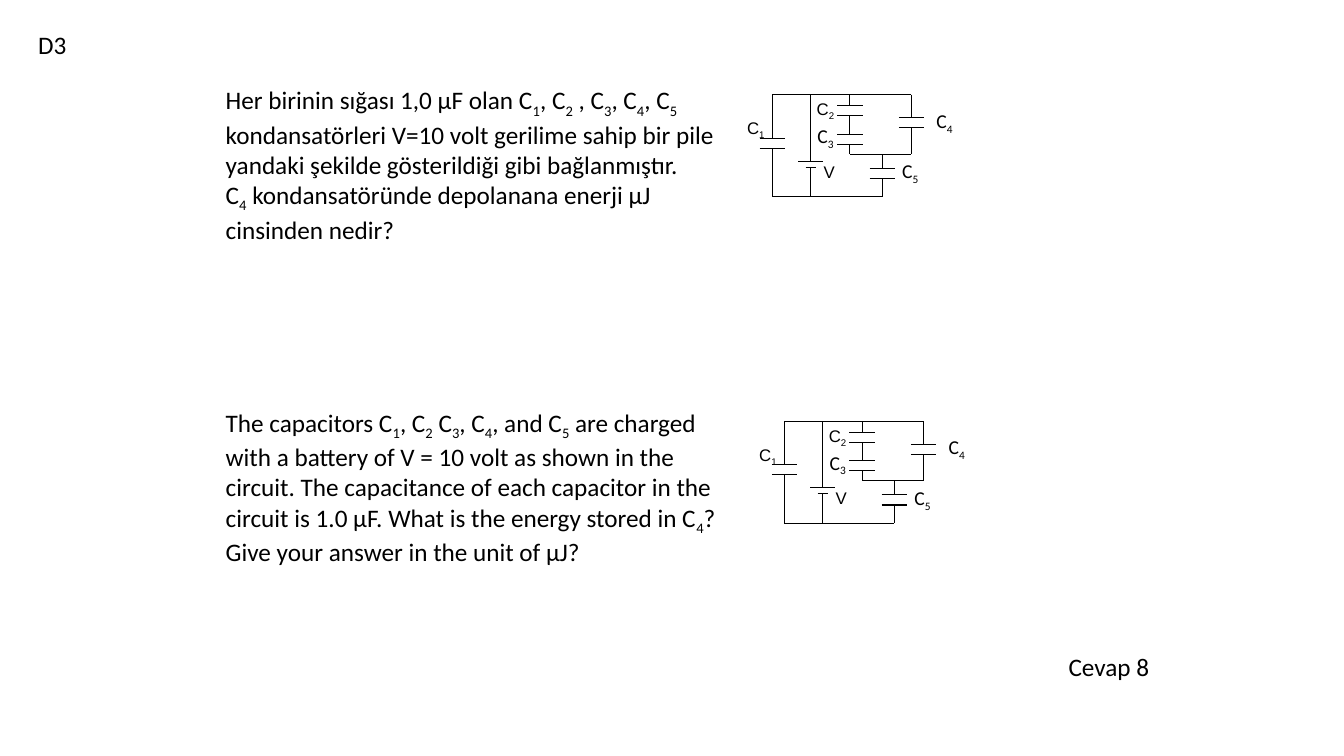
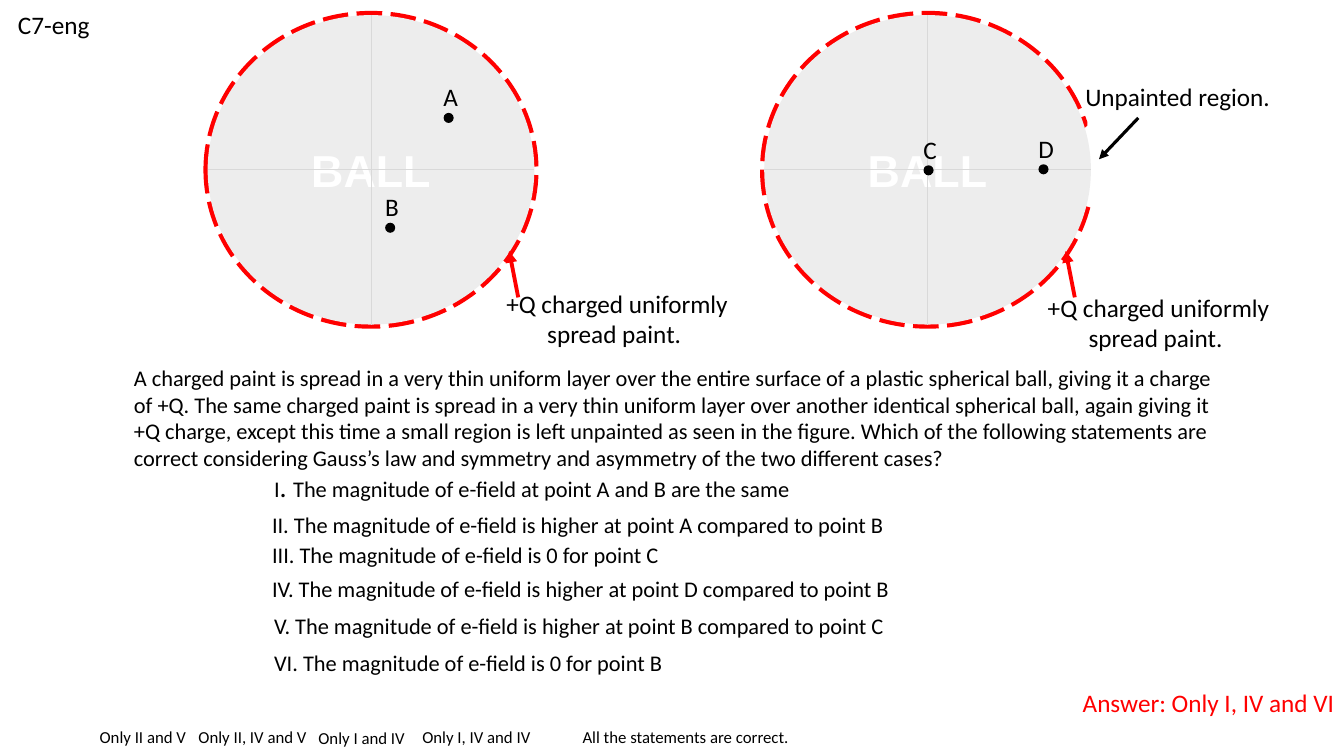
"""Build two physics question slides: a capacitor circuit and two charged balls."""
import pptx
import pptx.util
import pptx.dml.color
import pptx.enum.dml
import pptx.enum.shapes
import pptx.enum.text
import pptx.oxml.ns
import lxml.etree

Inches = pptx.util.Inches
Shape = pptx.enum.shapes.MSO_SHAPE
Align = pptx.enum.text.PP_ALIGN
BLACK = pptx.dml.color.RGBColor(0, 0, 0)
RED = pptx.dml.color.RGBColor(255, 0, 0)
WHITE = pptx.dml.color.RGBColor(255, 255, 255)
BALL_GREY = pptx.dml.color.RGBColor(0xED, 0xED, 0xED)
AXIS_GREY = pptx.dml.color.RGBColor(0xD9, 0xD9, 0xD9)


def write(page, at, text, size=18, color=BLACK, font="Calibri", align=Align.LEFT, wrap=True, inset=True):
    """Add a text box; newlines split paragraphs and _ lowers the next character."""
    box = page.shapes.add_textbox(*map(Inches, at))
    frame = box.text_frame
    frame.word_wrap = wrap
    if inset:
        frame.auto_size = pptx.enum.text.MSO_AUTO_SIZE.SHAPE_TO_FIT_TEXT
    else:
        frame.margin_left = frame.margin_right = frame.margin_top = frame.margin_bottom = 0
    for index, line in enumerate(text.split("\n")):
        para = frame.add_paragraph() if index else frame.paragraphs[0]
        para.alignment = align
        first, *others = line.split("_")
        pieces = [(first, False)]
        for other in others:
            pieces += [(other[0], True), (other[1:], False)]
        for words, lowered in pieces:
            if words:
                span = para.add_run()
                span.text = words
                span.font.name, span.font.size = font, pptx.util.Pt(size)
                span.font.color.rgb = color
                if lowered:
                    span.font._element.set("baseline", "-25000")
    return box


def draw_line(page, ends, color=BLACK, width=0.75, arrow=False):
    """Add a straight line, with an arrowhead at its end on request."""
    line = page.shapes.add_connector(pptx.enum.shapes.MSO_CONNECTOR.STRAIGHT, *map(Inches, ends))
    line.line.color.rgb = color
    line.line.width = pptx.util.Pt(width)
    if arrow:
        lxml.etree.SubElement(line.line._get_or_add_ln(), pptx.oxml.ns.qn("a:tailEnd"), type="triangle")
    lxml.etree.SubElement(line._element.spPr, pptx.oxml.ns.qn("a:effectLst"))


deck = pptx.Presentation()
deck.slide_width, deck.slide_height = Inches(13.33), Inches(7.5)
circuit_page, balls_page = [deck.slides.add_slide(deck.slide_layouts[6]) for _ in range(2)]

questions = [
    (0.79, "Her birinin sığası 1,0 µF olan C_1, C_2 , C_3, C_4, C_5 kondansatörleri V=10 volt gerilime "
           "sahip bir pile yandaki şekilde gösterildiği gibi bağlanmıştır. \n"
           "C_4 kondansatöründe depolanana enerji µJ cinsinden nedir? "),
    (3.99, "The capacitors C_1, C_2 C_3, C_4, and C_5 are charged with a battery of V = 10 volt as shown in "
           "the circuit. The capacitance of each capacitor in the circuit is 1.0 µF. What is the energy "
           "stored in C_4? Give your answer in the unit of µJ? "),
]
for top, question in questions:
    write(circuit_page, (2.14, top, 5.31, 1.62), question)

BATTERY, MIDDLE, LOWER, RIGHT = 0.38, 0.77, 1.09, 1.38
JOINT, BOTTOM, GAP, PLATE = 0.59, 1.01, 0.1, 0.25
rails = [(0, 0, RIGHT), (MIDDLE, JOINT, RIGHT), (0, BOTTOM, LOWER)]
branches = [
    (0, 0, BOTTOM, [0.43]),
    (MIDDLE, 0, JOINT, [0.11, 0.39]),
    (RIGHT, 0, JOINT, [0.23]),
    (LOWER, JOINT, BOTTOM, [0.73]),
]
circuit_lines = [(start, row, end, row) for start, row, end in rails]
for column, start, end, capacitors in branches:
    for row in capacitors:
        circuit_lines.append((column, start, column, row))
        for plate in (row, row + GAP):
            circuit_lines.append((column - PLATE / 2, plate, column + PLATE / 2, plate))
        start = row + GAP
    circuit_lines.append((column, start, column, end))
circuit_lines += [
    (BATTERY, 0, BATTERY, 0.66),
    (BATTERY - PLATE / 2, 0.66, BATTERY + PLATE / 2, 0.66),
    (BATTERY - 0.05, 0.72, BATTERY + 0.05, 0.72),
    (BATTERY, 0.72, BATTERY, BOTTOM),
]
for left, top in [(7.66, 0.94), (7.78, 4.18)]:
    for x1, y1, x2, y2 in circuit_lines:
        draw_line(circuit_page, (left + x1, top + y1, left + x2, top + y2))
    for label, x, y, align in [("C_1", -0.25, 0.23, Align.LEFT), ("C_2", 0.44, 0.04, Align.LEFT),
                               ("V", 0.36, 0.66, Align.RIGHT)]:
        write(circuit_page, (left + x, top + y, 0.26, 0.22), label, 12, font="Arial", align=align, inset=False)
    for label, x, y in [("C_3", 0.35, 0.24), ("C_4", 1.53, 0.09), ("C_5", 1.19, 0.59)]:
        write(circuit_page, (left + x, top + y, 0.37, 0.34), label, 14, wrap=False)

write(circuit_page, (10.5, 6.41, 1.5, 0.4), "Cevap 8")
write(circuit_page, (0.28, 0.24, 0.59, 0.4), "D3")

BALL_TOP, BALL_WIDTH, BALL_HEIGHT = 0.15, 3.24, 3.07
for left, paint_shape in [(2.06, Shape.OVAL), (7.58, Shape.PIE)]:
    frame_at = [Inches(length) for length in (left, BALL_TOP, BALL_WIDTH, BALL_HEIGHT)]
    paint = balls_page.shapes.add_shape(paint_shape, *frame_at)
    paint.shadow.inherit = False
    paint.fill.background()
    paint.line.color.rgb = RED
    paint.line.width = pptx.util.Pt(6)
    paint.line.dash_style = pptx.enum.dml.MSO_LINE.SQUARE_DOT
    paint.line._get_or_add_ln().find(pptx.oxml.ns.qn("a:prstDash")).set("val", "sysDash")
    if paint_shape == Shape.PIE:
        paint.adjustments[0], paint.adjustments[1] = 7.79, 206.14
    ball = balls_page.shapes.add_shape(Shape.OVAL, *frame_at)
    ball.shadow.inherit = False
    ball.fill.solid()
    ball.fill.fore_color.rgb = BALL_GREY
    ball.line.fill.background()
    ball.text_frame.vertical_anchor = pptx.enum.text.MSO_ANCHOR.MIDDLE
    para = ball.text_frame.paragraphs[0]
    para.alignment = Align.CENTER
    span = para.add_run()
    span.text = "BALL"
    span.font.name, span.font.size, span.font.bold = "Arial", pptx.util.Pt(32), True
    span.font.color.rgb = WHITE
    center_x, center_y = left + BALL_WIDTH / 2, BALL_TOP + BALL_HEIGHT / 2
    draw_line(balls_page, (center_x, BALL_TOP, center_x, BALL_TOP + BALL_HEIGHT), AXIS_GREY, 0.5)
    draw_line(balls_page, (left, center_y, left + BALL_WIDTH, center_y), AXIS_GREY, 0.5)
    draw_line(balls_page, (left + 3.08, 2.95, left + 2.99, 2.49), RED, 2.75, arrow=True)
draw_line(balls_page, (11.29, 1.17, 10.9, 1.58), width=2.25, arrow=True)

for name, x, y in [("A", 4.4, 1.12), ("B", 3.82, 2.21), ("C", 9.16, 1.64), ("D", 10.3, 1.63)]:
    point = balls_page.shapes.add_shape(Shape.OVAL, Inches(x), Inches(y), Inches(0.1), Inches(0.1))
    point.shadow.inherit = False
    point.fill.solid()
    point.fill.fore_color.rgb = BLACK
    point.line.fill.background()
    write(balls_page, (x - 0.1, y - 0.36, 0.35, 0.4), name, wrap=False)

for at, caption in [((4.81, 2.81, 2.62, 0.71), "+Q charged uniformly spread paint. "),
                    ((10.28, 2.85, 2.42, 0.71), "+Q charged uniformly spread paint. "),
                    ((10.66, 0.76, 2.04, 0.71), "Unpainted region. ")]:
    write(balls_page, at, caption, align=Align.CENTER)

write(balls_page, (1.23, 3.56, 10.98, 1.18),
      "A charged paint is spread in a very thin uniform layer over the entire surface of a plastic spherical "
      "ball, giving it a charge of +Q. The same charged paint is spread in a very thin uniform layer over "
      "another identical spherical ball, again giving it +Q charge, except this time a small region is left "
      "unpainted as seen in the figure. Which of the following statements are correct considering Gauss’s "
      "law and symmetry and asymmetry of the two different cases? ", 16)

statements = [
    (2.62, 4.61, 5.38, "I. The magnitude of e-field at point A and B are the same"),
    (2.6, 5.02, 6.34, "II. The magnitude of e-field is higher at point A compared to point B"),
    (2.6, 5.32, 4.08, "III. The magnitude of e-field is 0 for point C"),
    (2.6, 5.66, 6.4, "IV. The magnitude of e-field is higher at point D compared to point B"),
    (2.62, 6.02, 6.32, "V. The magnitude of e-field is higher at point B compared to point C"),
    (2.62, 6.39, 4.1, "VI. The magnitude of e-field is 0 for point B"),
]
for left, top, width, statement in statements:
    if top == statements[0][1]:
        numeral, rest = statement.split(". ")
        para = write(balls_page, (left, top, width, 0.44), numeral, 16, wrap=False).text_frame.paragraphs[0]
        for words, size in [(". ", 20), (rest, 16)]:
            span = para.add_run()
            span.text = words
            span.font.name, span.font.size = "Calibri", pptx.util.Pt(size)
            span.font.color.rgb = BLACK
    else:
        write(balls_page, (left, top, width, 0.37), statement, 16, wrap=False)

for left, top, width, choice in [(0.89, 7.16, 1.07, "Only II and V"), (1.87, 7.16, 1.28, "Only II, IV and V"),
                                 (3.06, 7.17, 1.07, "Only I and IV"), (4.09, 7.16, 1.28, "Only I, IV and IV"),
                                 (5.68, 7.16, 2.27, "All the statements are correct.")]:
    write(balls_page, (left, top, width, 0.3), choice, 12, wrap=False)
write(balls_page, (10.64, 6.77, 2.74, 0.4), "Answer: Only I, IV and VI", color=RED)
write(balls_page, (0.08, 0.04, 1.18, 0.4), "C7-eng")

deck.save("out.pptx")
